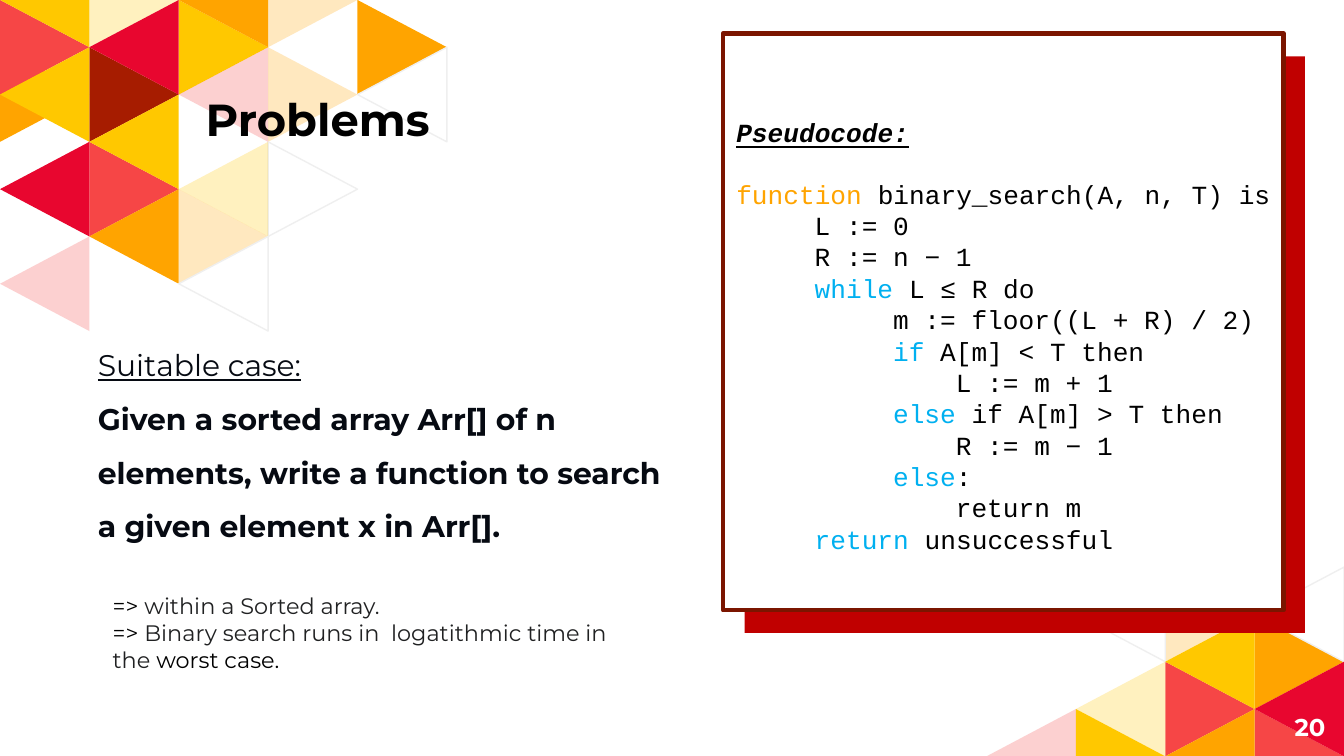
from lxml import etree
from pptx import Presentation
from pptx.dml.color import RGBColor
from pptx.enum.shapes import MSO_SHAPE
from pptx.enum.text import MSO_ANCHOR, MSO_AUTO_SIZE, PP_ALIGN
from pptx.oxml.ns import qn
from pptx.util import Inches, Pt

RECTANGLE = MSO_SHAPE.RECTANGLE
TOP, MIDDLE, BOTTOM = MSO_ANCHOR.TOP, MSO_ANCHOR.MIDDLE, MSO_ANCHOR.BOTTOM
LEFT, RIGHT = PP_ALIGN.LEFT, PP_ALIGN.RIGHT
NO_AUTOFIT = MSO_AUTO_SIZE.NONE

BLACK = RGBColor(0x00, 0x00, 0x00)
WHITE = RGBColor(0xFF, 0xFF, 0xFF)
ORANGE = RGBColor(0xFF, 0xA4, 0x00)
YELLOW = RGBColor(0xFF, 0xC8, 0x00)
CORAL = RGBColor(0xF6, 0x46, 0x46)
CRIMSON = RGBColor(0xE8, 0x06, 0x2F)
MAROON = RGBColor(0xA6, 0x1C, 0x00)
PALE_GRAY = RGBColor(0xEF, 0xEF, 0xEF)
PANEL_RED = RGBColor(0xC0, 0x00, 0x00)
PANEL_BORDER = RGBColor(0x7B, 0x15, 0x00)
KEYWORD_BLUE = RGBColor(0x00, 0xB0, 0xF0)
NAVY = RGBColor(0x06, 0x0A, 0x12)
CHARCOAL = RGBColor(0x20, 0x21, 0x22)

SANS = "Montserrat"
MONO = "Courier New"
CODE_SIZE = 14
CODE_CHARACTER = CODE_SIZE * 0.6 / 72

COLUMN_WIDTH = 0.66 + 0.005
ROW_HEIGHT = 0.35 + 0.002
SOLID, FAINT = 100, 25

TOP_LEFT_TRIANGLES = [
    ("right", 0, 2, ORANGE, SOLID), ("right", 1, 2, MAROON, SOLID),
    ("right", 1, 4, CORAL, SOLID), ("right", 3, 2, ORANGE, FAINT),
    ("right", 2, 5, ORANGE, FAINT), ("right", 3, 4, WHITE, SOLID),
    ("right", 0, 1, CORAL, SOLID), ("right", 1, 0, YELLOW, FAINT),
    ("right", 2, 1, YELLOW, SOLID), ("right", 3, 0, ORANGE, FAINT),
    ("right", 4, 1, ORANGE, SOLID), ("left", 0, 2, YELLOW, SOLID),
    ("left", 1, 3, YELLOW, SOLID), ("left", 0, 4, CRIMSON, SOLID),
    ("left", 1, 5, ORANGE, SOLID), ("left", 0, 6, CORAL, FAINT),
    ("left", 2, 2, CORAL, FAINT), ("left", 2, 4, YELLOW, FAINT),
    ("left", 2, 6, WHITE, SOLID), ("left", 4, 2, WHITE, SOLID),
    ("left", 0, 0, YELLOW, SOLID), ("left", 1, 1, CRIMSON, SOLID),
    ("left", 2, 0, ORANGE, SOLID),
]
BOTTOM_RIGHT_TRIANGLES = [
    ("right", 2, 1, ORANGE, FAINT), ("right", 3, 2, ORANGE, SOLID),
    ("right", 1, 4, YELLOW, SOLID), ("right", 2, 3, CORAL, SOLID),
    ("right", 3, 4, CORAL, SOLID), ("left", 1, 1, WHITE, SOLID),
    ("left", 3, 1, WHITE, SOLID), ("left", 2, 2, YELLOW, SOLID),
    ("left", 1, 3, YELLOW, FAINT), ("left", 2, 4, ORANGE, SOLID),
    ("left", 3, 3, CRIMSON, SOLID), ("left", 0, 4, CORAL, FAINT),
]
CODE_LINES = [
    (0, "function", " binary_search(A, n, T) is", ORANGE),
    (5, "", "L := 0", BLACK),
    (5, "", "R := n − 1", BLACK),
    (5, "while", " L ≤ R do", KEYWORD_BLUE),
    (10, "", "m := floor((L + R) / 2)", BLACK),
    (10, "if", " A[m] < T then", KEYWORD_BLUE),
    (14, "", "L := m + 1", BLACK),
    (10, "else", " if A[m] > T then", KEYWORD_BLUE),
    (14, "", "R := m − 1", BLACK),
    (10, "else", ":", KEYWORD_BLUE),
    (14, "", "return m", BLACK),
    (5, "return", " unsuccessful", KEYWORD_BLUE),
]


def style_shape(shape, fill, line=None, width=0, opacity=SOLID):
    shape.shadow.inherit = False
    shape.fill.solid()
    shape.fill.fore_color.rgb = fill
    if opacity < SOLID:
        color = shape.element.spPr.find(qn("a:solidFill"))[0]
        etree.SubElement(color, qn("a:alpha"), val=str(opacity * 1000))
    if line is None:
        shape.line.fill.background()
    else:
        shape.line.color.rgb = line
        shape.line.width = Pt(width)


def add_triangles(slide, left, top, last_row, triangles):
    group = slide.shapes.add_group_shape()
    for direction, column, row, color, opacity in triangles:
        base, tip = (column, column + 1) if direction == "right" else (column + 1, column)
        corners = [(base, max(row - 1, 0)), (base, min(row + 1, last_row)), (tip, row)]
        points = [(Inches(left + x * COLUMN_WIDTH), Inches(top + y * ROW_HEIGHT))
                  for x, y in corners]
        builder = group.shapes.build_freeform(*points[0])
        builder.add_line_segments(points[1:], close=True)
        outline = PALE_GRAY if color == WHITE else None
        style_shape(builder.convert_to_shape(), color, outline, 0.75, opacity)


def add_panel(slide, left, top, fill, line=None, width=0):
    panel = slide.shapes.add_shape(RECTANGLE, Inches(left), Inches(top),
                                   Inches(4.17), Inches(4.29))
    style_shape(panel, fill, line, width)


def add_text_box(slide, left, top, width, height):
    return slide.shapes.add_textbox(Inches(left), Inches(top), Inches(width), Inches(height))


def move_title(slide, left, top, width, height):
    title = slide.shapes.title
    title.left, title.top = Inches(left), Inches(top)
    title.width, title.height = Inches(width), Inches(height)
    title.element.getparent().append(title.element)
    return title


def write_text(shape, paragraphs, font=SANS, size=12, color=BLACK, bold=False,
               align=LEFT, anchor=TOP, spacing=1.0, inset=0.05):
    frame = shape.text_frame
    frame.word_wrap = True
    frame.auto_size = NO_AUTOFIT
    frame.vertical_anchor = anchor
    frame.margin_left = frame.margin_right = Inches(0.1)
    frame.margin_top = frame.margin_bottom = Inches(inset)
    for index, (runs, layout) in enumerate(paragraphs):
        paragraph = frame.add_paragraph() if index else frame.paragraphs[0]
        paragraph.alignment = align
        paragraph.line_spacing = spacing
        paragraph.space_after = Pt(layout.get("after", 0))
        if "indent" in layout:
            properties = paragraph._p.get_or_add_pPr()
            properties.set("marL", str(Inches(layout["indent"])))
            properties.set("indent", "0")
        for text, changes in runs:
            run = paragraph.add_run()
            run.text = text
            run.font.name = font
            run.font.size = Pt(size)
            run.font.color.rgb = changes.get("color", color)
            run.font.bold = changes.get("bold", bold)
            run.font.italic = changes.get("italic", False)
            run.font.underline = changes.get("underline", False)


def code_paragraphs():
    heading = ("Pseudocode:", {"bold": True, "italic": True, "underline": True})
    paragraphs = [([heading], {"after": 16})]
    for characters, keyword, rest, color in CODE_LINES:
        runs = [(keyword, {"color": color})] if keyword else []
        runs.append((rest, {}))
        paragraphs.append((runs, {"indent": characters * CODE_CHARACTER}))
    return paragraphs


def main():
    presentation = Presentation()
    presentation.slide_width = Inches(10)
    presentation.slide_height = Inches(5.625)
    slide = presentation.slides.add_slide(presentation.slide_layouts[5])

    add_triangles(slide, 7.34, 4.22, 4, BOTTOM_RIGHT_TRIANGLES)
    add_triangles(slide, 0, 0, 7, TOP_LEFT_TRIANGLES)
    add_panel(slide, 5.54, 0.42, PANEL_RED)

    title = move_title(slide, 1.43, 0.45, 2.59, 0.73)
    write_text(title, [([("Problems", {})], {})], size=24, bold=True,
               anchor=BOTTOM, inset=0.1)

    page_number = add_text_box(slide, 9.36, 5.19, 0.6, 0.43)
    write_text(page_number, [([("20", {})], {})], size=13, color=WHITE, bold=True,
               align=RIGHT, anchor=MIDDLE, inset=0.1)

    suitable_case = add_text_box(slide, 0.63, 2.4, 4.58, 1.67)
    write_text(suitable_case, [
        ([("Suitable case:", {"underline": True})], {}),
        ([("Given a sorted array Arr[] of n elements, write a function to search "
           "a given element x in Arr[].", {"bold": True})], {}),
    ], size=16, color=NAVY, spacing=1.5)

    add_panel(slide, 5.38, 0.25, WHITE, PANEL_BORDER, 2.5)
    pseudocode = add_text_box(slide, 5.38, 0.82, 5.78, 3.4)
    write_text(pseudocode, code_paragraphs(), font=MONO, size=CODE_SIZE)

    remarks = add_text_box(slide, 0.74, 4.36, 3.89, 0.71)
    write_text(remarks, [
        ([("=> ", {}), ("within a Sorted array.", {"color": CHARCOAL})], {}),
        ([("=> ", {}),
          ("Binary search runs in  logatithmic time in the ", {"color": CHARCOAL}),
          ("worst case.", {})], {}),
    ])

    presentation.save("out.pptx")


if __name__ == "__main__":
    main()
